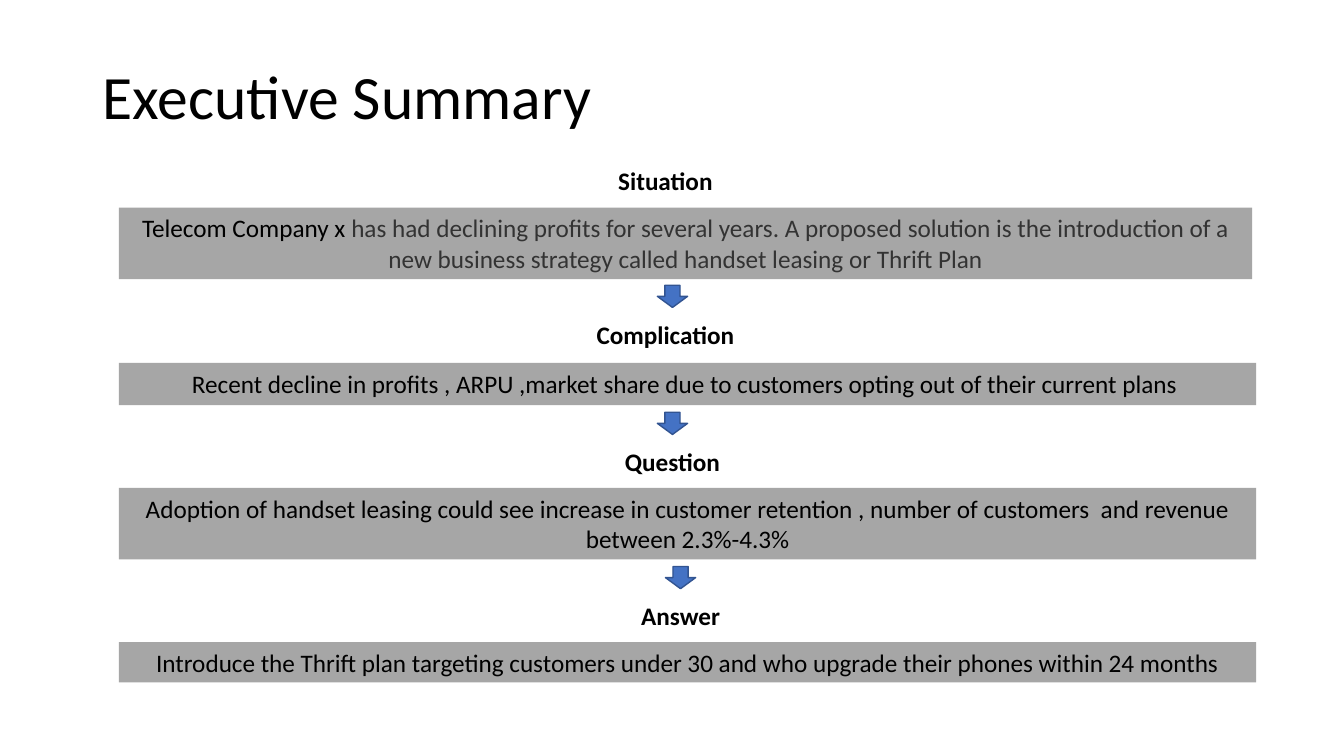
from pptx import Presentation
from pptx.dml.color import RGBColor
from pptx.enum.shapes import MSO_SHAPE
from pptx.enum.text import MSO_ANCHOR, PP_ALIGN
from pptx.util import Inches, Pt

BLACK = RGBColor(0x00, 0x00, 0x00)
DARK = RGBColor(0x33, 0x33, 0x33)
GREY = RGBColor(0xA6, 0xA6, 0xA6)
BLUE = RGBColor(0x44, 0x72, 0xC4)
NAVY = RGBColor(0x32, 0x54, 0x91)
RECT = MSO_SHAPE.RECTANGLE
DOWN = MSO_SHAPE.DOWN_ARROW
TOP = MSO_ANCHOR.TOP
MIDDLE = MSO_ANCHOR.MIDDLE
LEFT = PP_ALIGN.LEFT
CENTER = PP_ALIGN.CENTER

deck = Presentation()
deck.slide_width = Inches(13.33)
deck.slide_height = Inches(7.5)
slide = deck.slides.add_slide(deck.slide_layouts[6])
shapes = slide.shapes


def write(shape, parts, size=18, bold=False, align=CENTER, anchor=TOP):
    frame = shape.text_frame
    frame.word_wrap = True
    frame.vertical_anchor = anchor
    para = frame.paragraphs[0]
    para.alignment = align
    para.font.name = "Calibri"
    para.font.size = Pt(size)
    para.font.bold = bold
    for text, color in parts:
        run = para.add_run()
        run.text = text
        run.font.color.rgb = color
    return para


def draw(kind, left, top, width, height, fill):
    shape = shapes.add_shape(kind, Inches(left), Inches(top), Inches(width), Inches(height))
    shape.shadow.inherit = False
    shape.fill.solid()
    shape.fill.fore_color.rgb = fill
    shape.line.fill.background()
    return shape


title = shapes.add_textbox(Inches(0.92), Inches(0.4), Inches(11.5), Inches(1.17))
para = write(title, [("Executive Summary", BLACK)], size=44, align=LEFT, anchor=MIDDLE)
para.line_spacing = 0.9

steps = [
    ("Situation", 6.6, 1.59, 2.06, 11.24, 0.71, [
        ("Telecom Company x ", BLACK),
        ("has had declining profits for several years. A proposed solution is the "
         "introduction of a new business strategy called handset leasing or Thrift Plan", DARK)]),
    ("Complication", 6.6, 3.12, 3.6, 11.28, 0.42, [
        ("Recent decline in profits , ARPU ,market share due to customers opting out "
         "of their current plans ", BLACK)]),
    ("Question", 6.67, 4.38, 4.84, 11.28, 0.71, [
        ("Adoption of handset leasing could see increase in customer retention , "
         "number of customers  and revenue between 2.3%-4.3%", BLACK)]),
    ("Answer", 6.75, 5.91, 6.37, 11.28, 0.4, [
        ("Introduce the Thrift plan targeting customers under 30 and who upgrade "
         "their phones within 24 months", BLACK)]),
]
for name, mid, head, top, width, height, parts in steps:
    label = shapes.add_textbox(Inches(mid - 2), Inches(head), Inches(4), Inches(0.4))
    write(label, [(name, BLACK)], bold=True)
    write(draw(RECT, 1.18, top, width, height, GREY), parts)

for left, top in [(6.52, 2.83), (6.52, 4.09), (6.6, 5.62)]:
    arrow = draw(DOWN, left, top, 0.3, 0.22, BLUE)
    arrow.line.color.rgb = NAVY
    arrow.line.width = Pt(1)

deck.save("out.pptx")
